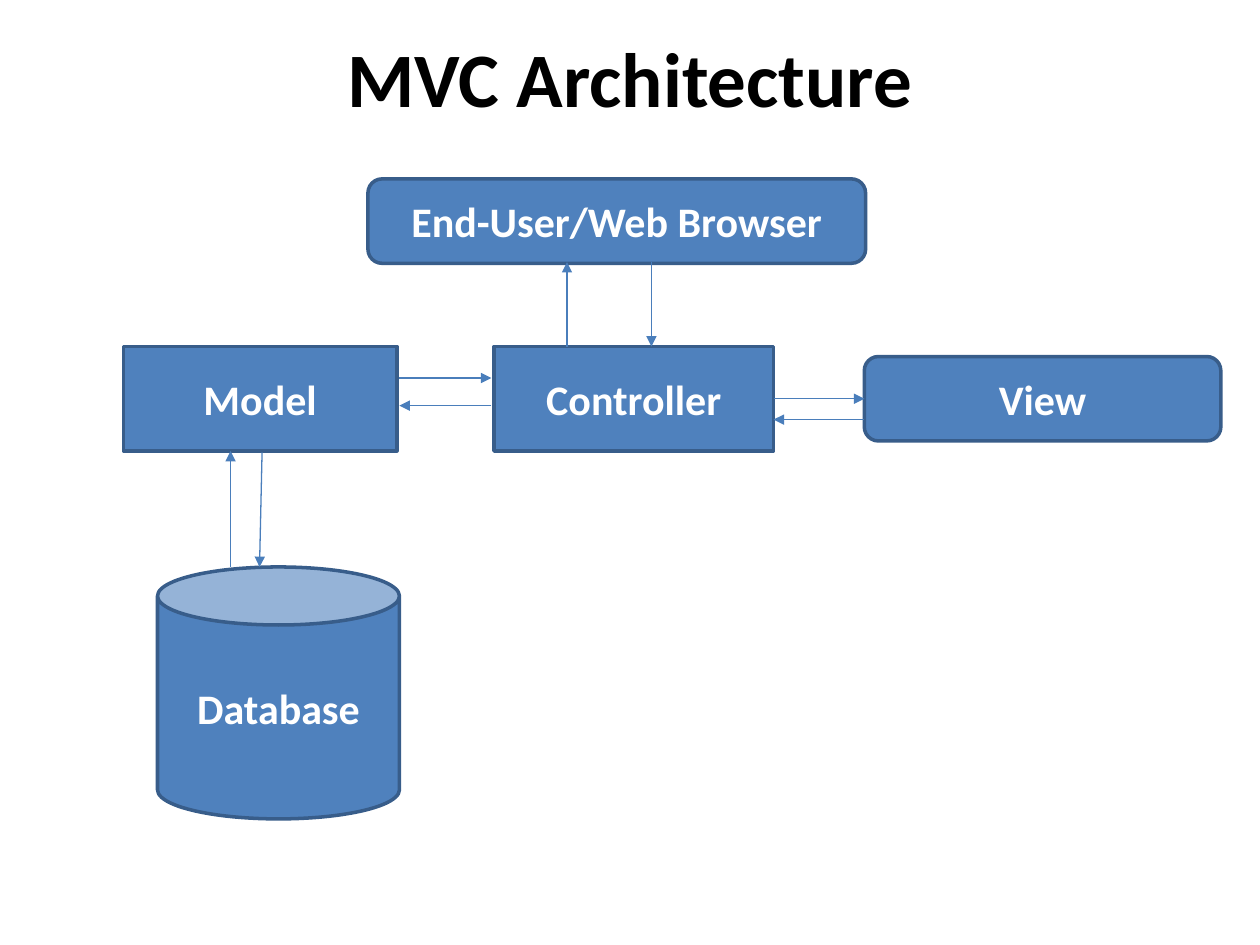
from pptx import Presentation
from pptx.dml.color import RGBColor
from pptx.enum.shapes import MSO_CONNECTOR, MSO_SHAPE
from pptx.enum.text import MSO_ANCHOR, PP_ALIGN
from pptx.oxml.ns import qn
from pptx.util import Inches, Pt
from lxml import etree

BLACK = RGBColor(0x00, 0x00, 0x00)
WHITE = RGBColor(0xFF, 0xFF, 0xFF)
BLUE = RGBColor(0x4F, 0x81, 0xBD)
BORDER_BLUE = RGBColor(0x38, 0x5D, 0x8A)
ARROW_BLUE = RGBColor(0x4A, 0x7E, 0xBB)

RECTANGLE = MSO_SHAPE.RECTANGLE
ROUNDED = MSO_SHAPE.ROUNDED_RECTANGLE
CAN = MSO_SHAPE.CAN
STRAIGHT = MSO_CONNECTOR.STRAIGHT
CENTER = PP_ALIGN.CENTER
MIDDLE = MSO_ANCHOR.MIDDLE
LEFT_SIDE, RIGHT_SIDE = 1, 3


class Diagram:
    font_name = "Calibri"

    def __init__(self, slide):
        self.slide = slide

    def label(self, shape, text, size, color):
        frame = shape.text_frame
        frame.word_wrap = True
        frame.vertical_anchor = MIDDLE
        frame.text = text
        paragraph = frame.paragraphs[0]
        paragraph.alignment = CENTER
        font = paragraph.runs[0].font
        font.name = self.font_name
        font.size = Pt(size)
        font.bold = True
        font.color.rgb = color

    def title(self, text, left, top, width, height):
        box = self.slide.shapes.add_textbox(
            Inches(left), Inches(top), Inches(width), Inches(height))
        self.label(box, text, 44, BLACK)

    def component(self, text, kind, left, top, width, height, adjustment=None):
        shape = self.slide.shapes.add_shape(
            kind, Inches(left), Inches(top), Inches(width), Inches(height))
        if adjustment is not None:
            shape.adjustments[0] = adjustment
        shape.shadow.inherit = False
        shape.fill.solid()
        shape.fill.fore_color.rgb = BLUE
        shape.line.color.rgb = BORDER_BLUE
        shape.line.width = Pt(2)
        self.label(shape, text, 24, WHITE)
        return shape

    def arrow(self, start, end):
        connector = self.slide.shapes.add_connector(
            STRAIGHT, *(Inches(value) for value in (*start, *end)))
        connector.line.color.rgb = ARROW_BLUE
        connector.line.width = Pt(0.75)
        properties = connector._element.spPr
        line = properties.find(qn("a:ln"))
        etree.SubElement(line, qn("a:tailEnd"), type="triangle")
        etree.SubElement(properties, qn("a:effectLst"))
        return connector


def main():
    presentation = Presentation()
    presentation.slide_width = Inches(10)
    presentation.slide_height = Inches(7.5)
    blank = presentation.slide_layouts[6]
    diagram = Diagram(presentation.slides.add_slide(blank))

    diagram.title("MVC Architecture", 0.5, 0.3, 9, 0.62)
    diagram.component("End-User/Web Browser", ROUNDED, 2.92, 1.42, 3.95, 0.67, 0.167)
    controller = diagram.component("Controller", RECTANGLE, 3.92, 2.75, 2.22, 0.83)
    view = diagram.component("View", ROUNDED, 6.86, 2.83, 2.83, 0.67, 0.167)
    diagram.component("Model", RECTANGLE, 0.98, 2.75, 2.17, 0.83)
    diagram.component("Database", CAN, 1.25, 4.5, 1.92, 2, 0.24)

    controller_to_view = diagram.arrow((6.14, 3.17), (6.86, 3.17))
    controller_to_view.begin_connect(controller, RIGHT_SIDE)
    controller_to_view.end_connect(view, LEFT_SIDE)

    for start, end in (
        ((5.17, 2.08), (5.17, 2.75)),
        ((4.5, 2.75), (4.5, 2.08)),
        ((3.17, 3), (3.9, 3)),
        ((6.86, 3.33), (6.14, 3.33)),
        ((3.9, 3.22), (3.17, 3.22)),
        ((1.83, 4.5), (1.83, 3.58)),
        ((2.08, 3.59), (2.06, 4.5)),
    ):
        diagram.arrow(start, end)

    presentation.save("out.pptx")


if __name__ == "__main__":
    main()
